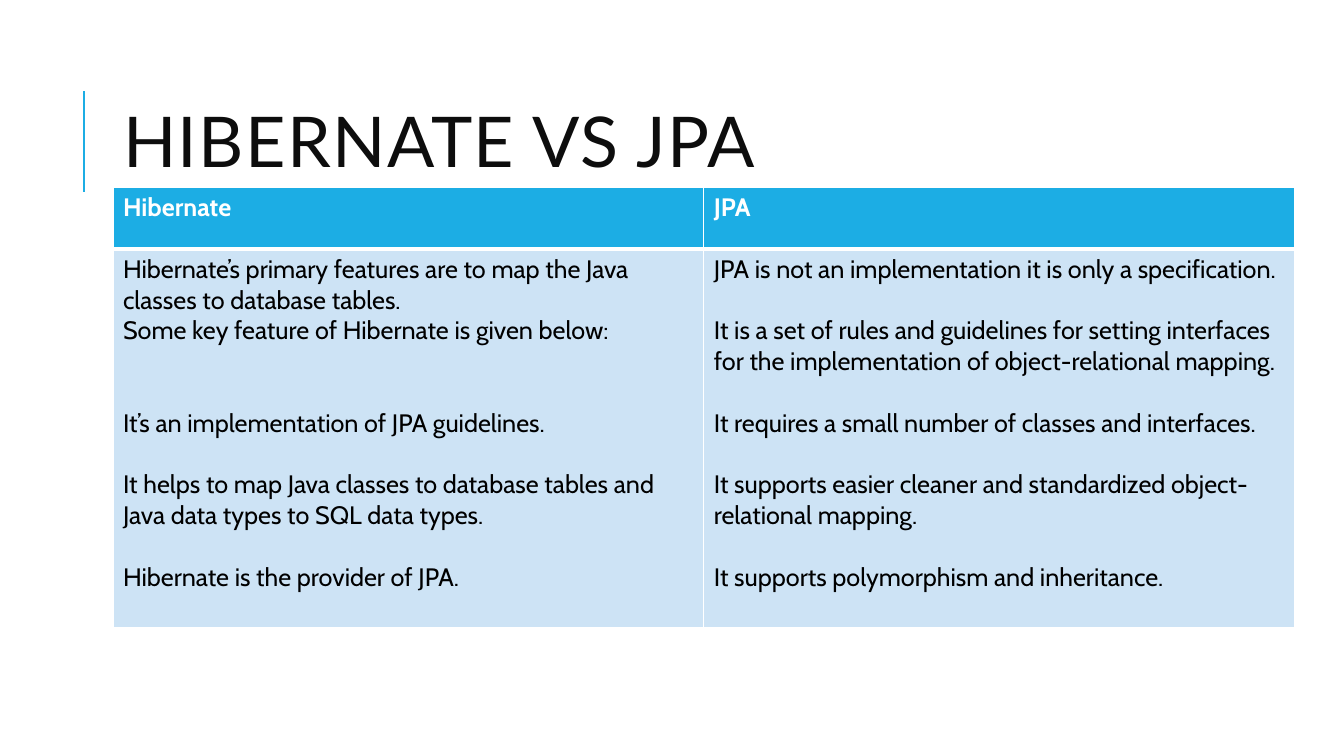
from lxml.etree import SubElement
from pptx import Presentation
from pptx.dml.color import RGBColor
from pptx.enum.shapes import MSO_CONNECTOR
from pptx.enum.text import MSO_ANCHOR, MSO_AUTO_SIZE, PP_ALIGN
from pptx.oxml.ns import qn
from pptx.util import Inches, Pt

COLORS = {
    "accent": "1CADE4",
    "body": "CDE3F5",
    "title": "0D0D0D",
    "text": "000000",
    "white": "FFFFFF",
}
LINE_PT = 22  # height of one line of table text

# Each column: heading, then (paragraph, lines of space before it)
COLUMNS = [
    ("Hibernate", [
        ("Hibernate’s primary features are to map the Java classes to database tables.", 0),
        ("Some key feature of Hibernate is given below:", 0),
        ("It’s an implementation of JPA guidelines.", 2),
        ("It helps to map Java classes to database tables and Java data types to SQL data types.", 1),
        ("Hibernate is the provider of JPA.", 1),
    ]),
    ("JPA", [
        ("JPA is not an implementation it is only a specification.", 0),
        ("It is a set of rules and guidelines for setting interfaces for the "
         "implementation of object-relational mapping.", 1),
        ("It requires a small number of classes and interfaces.", 1),
        ("It supports easier cleaner and standardized object-relational mapping.", 1),
        ("It supports polymorphism and inheritance.", 1),
    ]),
]


def rgb(name):
    return RGBColor.from_string(COLORS[name])


def set_font(font, name, size, color, bold=False):
    font.name = name
    font.size = Pt(size)
    font.bold = bold
    font.color.rgb = rgb(color)


def add_title(slide, text):
    sp = slide.shapes.title
    sp.left, sp.top = Inches(1.12), Inches(0.64)
    sp.width, sp.height = Inches(10.63), Inches(1.64)
    tf = sp.text_frame
    tf.auto_size = MSO_AUTO_SIZE.NONE
    tf.vertical_anchor = MSO_ANCHOR.MIDDLE
    p = tf.paragraphs[0]
    p.alignment = PP_ALIGN.LEFT
    p.line_spacing = 0.8
    r = p.add_run()
    r.text = text
    set_font(r.font, "Lato", 50, "title")
    r.font._element.set("spc", "100")


def add_accent_line(slide):
    line = slide.shapes.add_connector(
        MSO_CONNECTOR.STRAIGHT, Inches(0.83), Inches(1.9), Inches(0.83), Inches(0.9))
    line.line.color.rgb = rgb("accent")
    line.line.width = Pt(1.5)
    SubElement(line._element.spPr, qn("a:effectLst"))


def set_borders(cell, top=1, bottom=1):
    tcPr = cell._tc.get_or_add_tcPr()
    for side, width in (("L", 1), ("R", 1), ("T", top), ("B", bottom)):
        ln = SubElement(tcPr, qn(f"a:ln{side}"), w=str(Pt(width)))
        fill = SubElement(ln, qn("a:solidFill"))
        SubElement(fill, qn("a:srgbClr"), val=COLORS["white"])


def fill_cell(cell, paragraphs, fill, color, bold=False):
    cell.fill.solid()
    cell.fill.fore_color.rgb = rgb(fill)
    tf = cell.text_frame
    for i, (text, gap) in enumerate(paragraphs):
        p = tf.add_paragraph() if i else tf.paragraphs[0]
        p.text = text
        p.space_before = Pt(gap * LINE_PT)
        set_font(p.font, "Cabin", 18, color, bold)


def add_comparison(slide):
    table = slide.shapes.add_table(
        2, len(COLUMNS), Inches(1.12), Inches(1.86), Inches(11.72), Inches(4.37)).table
    for row, height in zip(table.rows, (0.61, 3.76)):
        row.height = Inches(height)
    for i, (heading, paragraphs) in enumerate(COLUMNS):
        table.columns[i].width = Inches(5.86)
        head, body = table.cell(0, i), table.cell(1, i)
        set_borders(head, bottom=3)
        set_borders(body, top=3)
        fill_cell(head, [(heading, 0)], "accent", "white", bold=True)
        fill_cell(body, paragraphs, "body", "text")


def main():
    prs = Presentation()
    prs.slide_width, prs.slide_height = Inches(13.33), Inches(7.5)
    slide = prs.slides.add_slide(prs.slide_layouts[5])

    # Heading
    add_accent_line(slide)
    add_title(slide, "HIBERNATE VS JPA")

    # Comparison table
    add_comparison(slide)

    prs.save("out.pptx")


if __name__ == "__main__":
    main()
